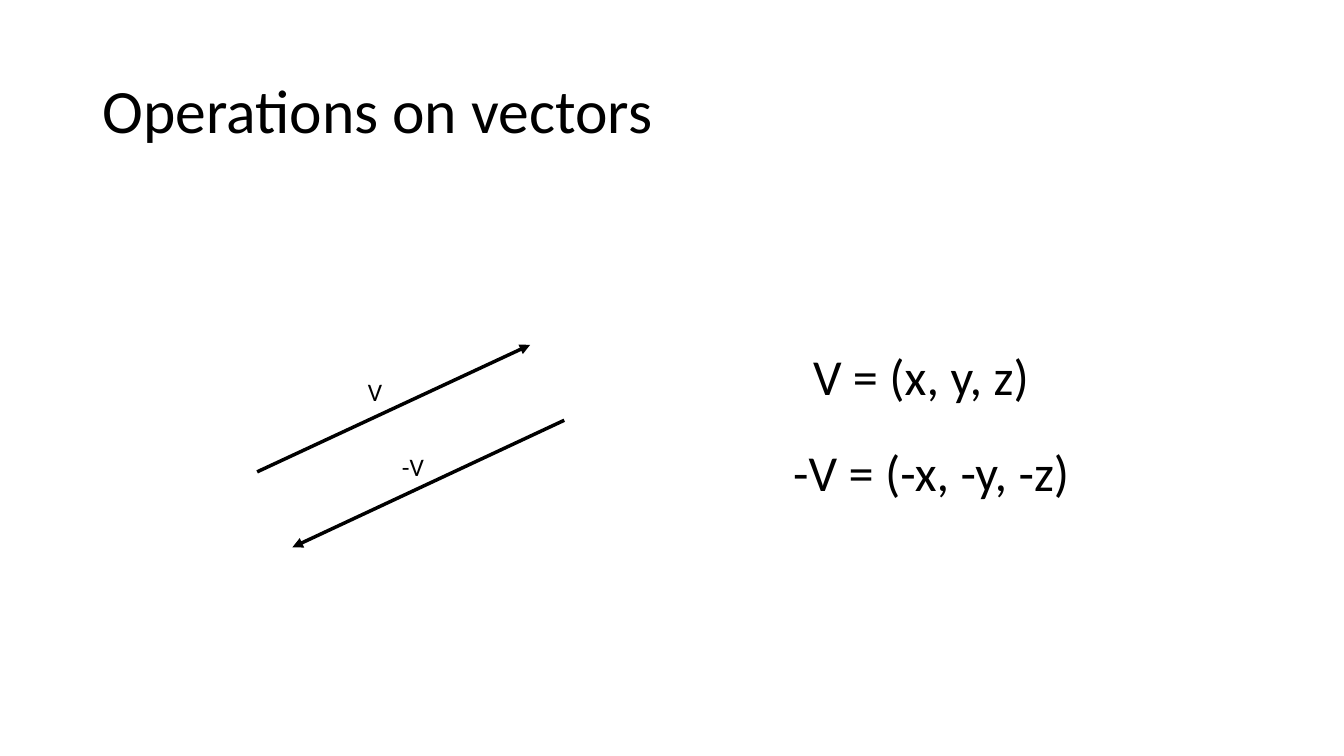
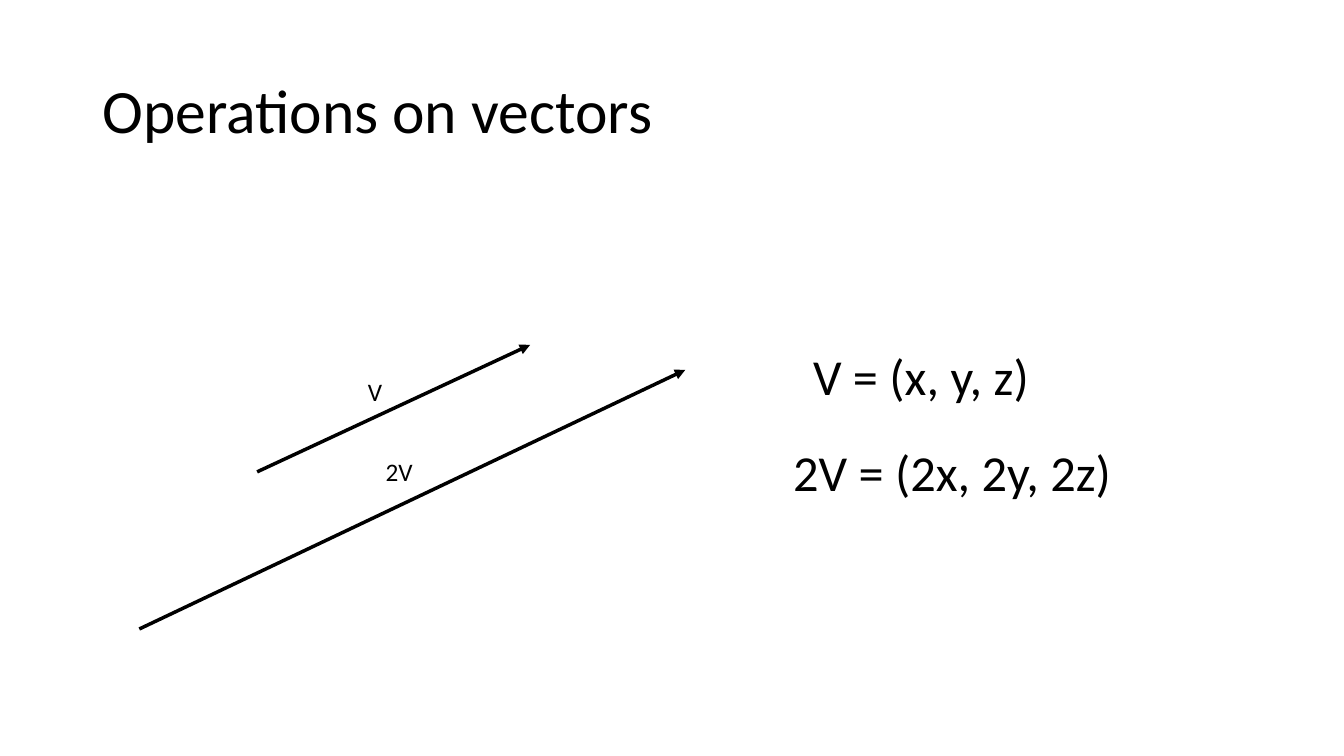
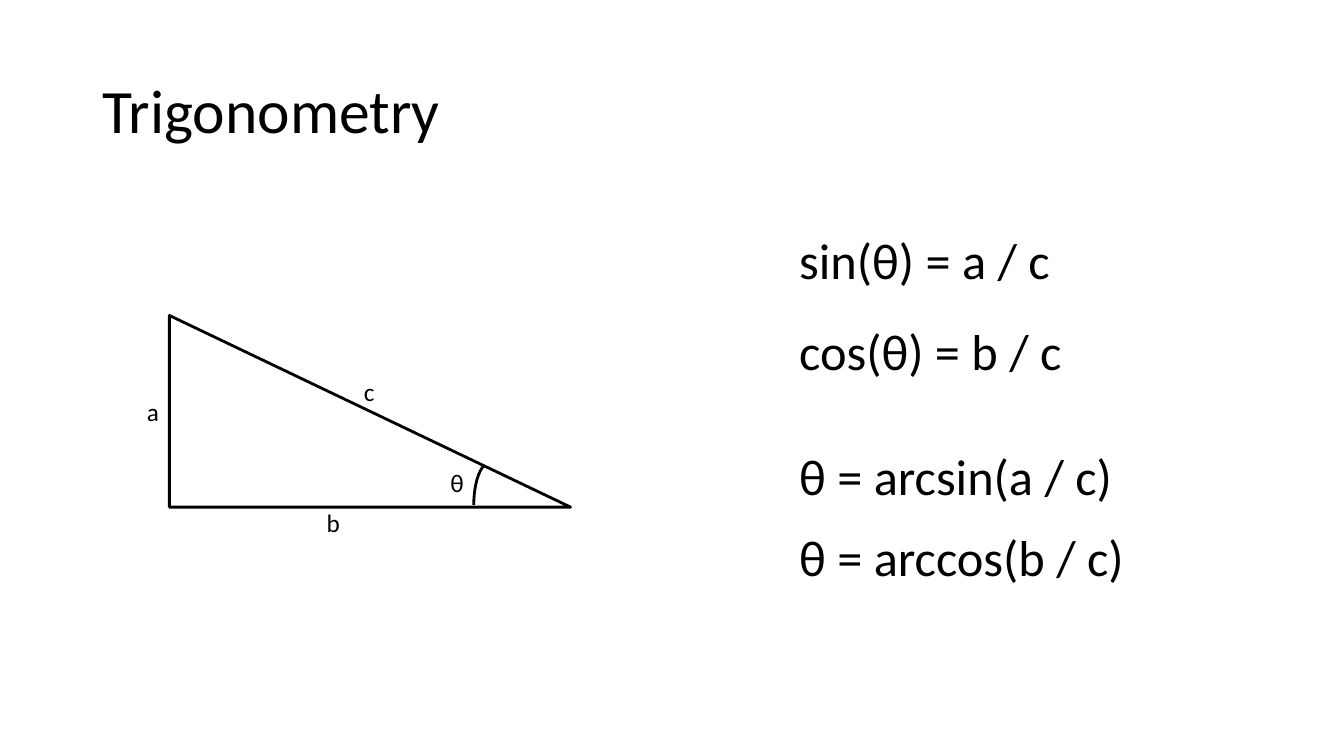
from pptx import Presentation
from pptx.dml.color import RGBColor
from pptx.enum.shapes import MSO_CONNECTOR, MSO_SHAPE
from pptx.enum.text import MSO_ANCHOR, MSO_AUTO_SIZE, PP_ALIGN
from pptx.oxml.ns import qn
from pptx.util import Cm, Pt
from lxml import etree

STRAIGHT = MSO_CONNECTOR.STRAIGHT
RIGHT_TRIANGLE, ARC = MSO_SHAPE.RIGHT_TRIANGLE, MSO_SHAPE.ARC
MIDDLE, LEFT = MSO_ANCHOR.MIDDLE, PP_ALIGN.LEFT
GROW = MSO_AUTO_SIZE.SHAPE_TO_FIT_TEXT

# Shared style
FONT = "Calibri"
INK = RGBColor.from_string("000000")
TITLE_SIZE, FORMULA_SIZE, LABEL_SIZE = 44, 36, 18
LINE_HEIGHT = {FORMULA_SIZE: 1.8, LABEL_SIZE: 1.02}

deck = Presentation()
deck.slide_width, deck.slide_height = Cm(33.87), Cm(19.05)
title_only = deck.slide_layouts[5]


def style_text(frame, text, size):
    frame.text = text
    paragraph = frame.paragraphs[0]
    paragraph.alignment = LEFT
    font = paragraph.runs[0].font
    font.name, font.size, font.color.rgb = FONT, Pt(size), INK
    return paragraph


def add_text(slide, text, x, y, width, size, wrap=False):
    box = slide.shapes.add_textbox(Cm(x), Cm(y), Cm(width), Cm(LINE_HEIGHT[size]))
    style_text(box.text_frame, text, size)
    box.text_frame.word_wrap = wrap
    box.text_frame.auto_size = GROW


# Slides with their titles
for heading in ("Operations on vectors", "Operations on vectors", "Trigonometry"):
    title = deck.slides.add_slide(title_only).shapes.title
    title.left, title.top, title.width, title.height = Cm(2.33), Cm(1.02), Cm(29.21), Cm(3.68)
    title.text_frame.vertical_anchor = MIDDLE
    style_text(title.text_frame, heading, TITLE_SIZE).line_spacing = 0.9

negation, doubling, trigonometry = deck.slides

# Vectors: arrow ends, name (text, x, y, width), formula (text, x, y, width)
v = ((6.48, 11.89, 13.36, 8.69),
     ("V", 9.02, 9.35, 0.89),
     ("V = (x, y, z)", 20.24, 8.56, 6.53))
minus_v = ((14.22, 10.59, 7.37, 13.79),
           ("-V", 9.88, 11.25, 1.07),
           ("-V = (-x, -y, -z)", 19.74, 11, 7.57))
double_v = ((3.51, 15.85, 17.27, 9.32),
            ("2V", 9.47, 11.38, 1.19),
            ("2V = (2x, 2y, 2z)", 19.74, 11, 13.51))

for slide, vectors in ((negation, (v, minus_v)), (doubling, (v, double_v))):
    for ends, name, formula in vectors:
        arrow = slide.shapes.add_connector(STRAIGHT, *(Cm(end) for end in ends))
        arrow.line.color.rgb, arrow.line.width = INK, Pt(2.5)
        etree.SubElement(arrow.line._get_or_add_ln(), qn("a:tailEnd"), type="triangle")
        etree.SubElement(arrow._element.spPr, qn("a:effectLst"))
        add_text(slide, *name, LABEL_SIZE)
        add_text(slide, *formula, FORMULA_SIZE, wrap=True)

# Right triangle with its angle
triangle = trigonometry.shapes.add_shape(RIGHT_TRIANGLE, Cm(4.27), Cm(7.95), Cm(10.11), Cm(4.83))
angle = trigonometry.shapes.add_shape(ARC, Cm(11.94), Cm(11.66), Cm(0.81), Cm(2.13))
angle.adjustments[0], angle.adjustments[1] = 108, 157.25
for outline in (triangle, angle):
    outline.shadow.inherit = False
    outline.fill.background()
    outline.line.color.rgb, outline.line.width = INK, Pt(2)

for label in (("a", 3.45, 9.86, 0.81), ("b", 7.98, 12.67, 0.86),
              ("c", 8.92, 9.35, 0.79), ("θ", 11.1, 11.66, 0.86)):
    add_text(trigonometry, *label, LABEL_SIZE)

# Trigonometric formulas
for formula, y, width in (("sin(θ) = a / c", 5.66, 6.88), ("cos(θ) = b / c", 7.95, 7.19),
                          ("θ = arcsin(a / c)", 11.1, 8.46), ("θ = arccos(b / c)", 13.13, 8.76)):
    add_text(trigonometry, formula, 19.89, y, width, FORMULA_SIZE)

deck.save("out.pptx")
